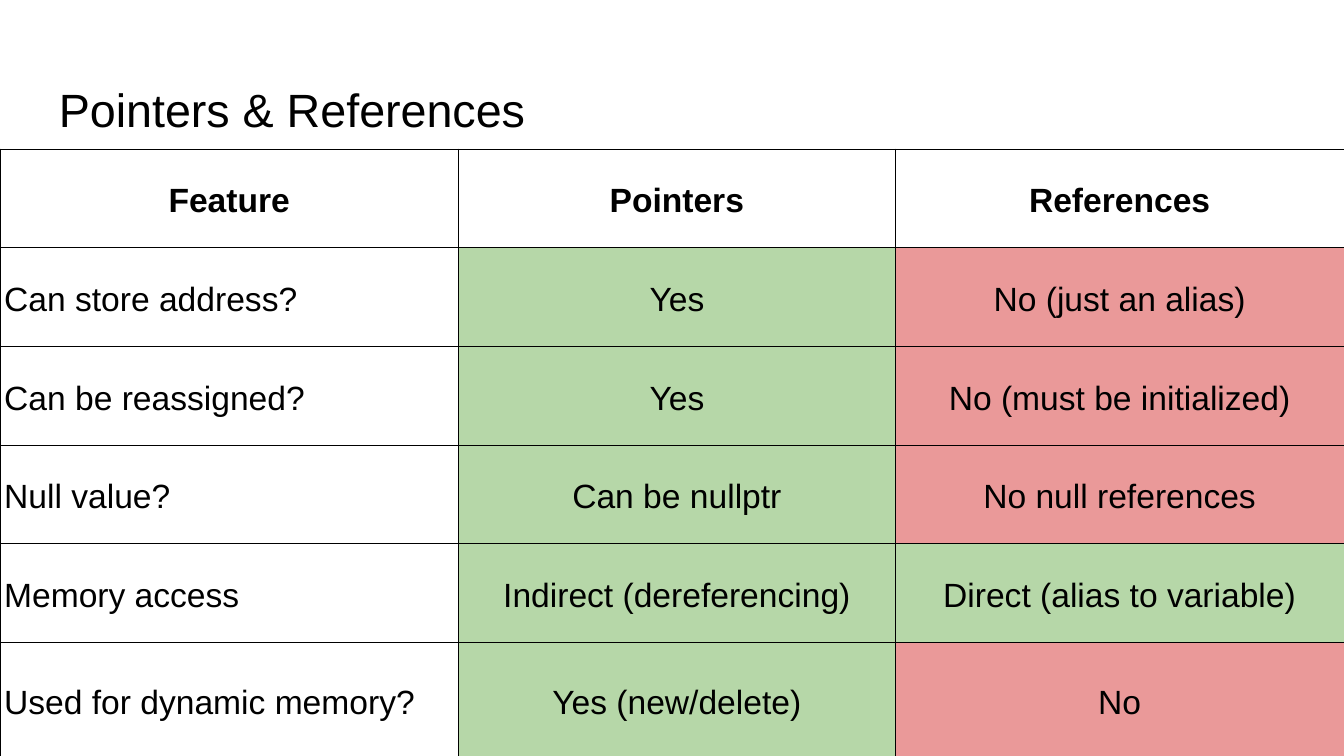
from lxml.etree import SubElement
from pptx import Presentation
from pptx.dml.color import RGBColor
from pptx.enum.text import MSO_ANCHOR, PP_ALIGN
from pptx.oxml.ns import qn
from pptx.util import Emu, Pt

BLACK = RGBColor(0x00, 0x00, 0x00)
GREEN = RGBColor(0xB6, 0xD7, 0xA8)
RED = RGBColor(0xEA, 0x99, 0x99)
WIDTH, HEIGHT = 1920, 1080
SCALE = 9144000 / WIDTH

HEADINGS = ["Feature", "Pointers", "References"]
COMPARISONS = [
    ("Can store address?", "Yes", "No (just an alias)", RED),
    ("Can be reassigned?", "Yes", "No (must be initialized)", RED),
    ("Null value?", "Can be nullptr", "No null references", RED),
    ("Memory access", "Indirect (dereferencing)", "Direct (alias to variable)", GREEN),
    ("Used for dynamic memory?", "Yes (new/delete)", "No", RED),
]


def px(length):
    """Turn pixels into EMU."""
    return Emu(round(length * SCALE))


class SlideWriter:
    """Holds the text and border style and the current slide."""

    font = "Arial"
    title_size = Pt(25)
    cell_size = Pt(18)
    border_width = Pt(0.5)
    line_spacing = 1.15

    def __init__(self, slide):
        self.slide = slide

    def add_run(self, paragraph, wording, size, bold=False):
        run = paragraph.add_run()
        run.text = wording
        run.font.name = self.font
        run.font.size = size
        run.font.bold = bold
        run.font.color.rgb = BLACK

    def title(self, wording, left, top, width, height):
        title = self.slide.shapes.title
        title.left, title.top = px(left), px(top)
        title.width, title.height = px(width), px(height)
        frame = title.text_frame
        frame.word_wrap = True
        frame.vertical_anchor = MSO_ANCHOR.BOTTOM
        frame.margin_left = frame.margin_right = px(19)
        frame.margin_top = frame.margin_bottom = px(19)
        paragraph = frame.paragraphs[0]
        paragraph.alignment = PP_ALIGN.LEFT
        self.add_run(paragraph, wording, self.title_size)

    def table(self, left, top, widths, heights):
        table = self.slide.shapes.add_table(
            len(heights), len(widths), px(left), px(top), px(sum(widths)), px(sum(heights))
        ).table
        table.first_row = table.horz_banding = False
        for column, width in zip(table.columns, widths):
            column.width = px(width)
        for row, height in zip(table.rows, heights):
            row.height = px(height)
        return table

    def borders(self, cell):
        properties = cell._tc.get_or_add_tcPr()
        for side in ("a:lnL", "a:lnR", "a:lnT", "a:lnB"):
            line = SubElement(properties, qn(side), w=str(self.border_width))
            fill = SubElement(line, qn("a:solidFill"))
            SubElement(fill, qn("a:srgbClr"), val=str(BLACK))

    def cell(self, cell, wording, alignment=PP_ALIGN.CENTER, color=None, bold=False):
        self.borders(cell)
        if color is None:
            cell.fill.background()
        else:
            cell.fill.solid()
            cell.fill.fore_color.rgb = color
        cell.vertical_anchor = MSO_ANCHOR.MIDDLE
        cell.margin_left = cell.margin_right = px(6)
        cell.margin_top = cell.margin_bottom = px(4)
        paragraph = cell.text_frame.paragraphs[0]
        paragraph.alignment = alignment
        paragraph.line_spacing = self.line_spacing
        self.add_run(paragraph, wording, self.cell_size, bold)


def main():
    presentation = Presentation()
    presentation.slide_width, presentation.slide_height = px(WIDTH), px(HEIGHT)
    writer = SlideWriter(presentation.slides.add_slide(presentation.slide_layouts[5]))

    writer.title("Pointers & References", 65, 94, 1789, 121)
    comparison = writer.table(0, 213, [655, 624, 641], [141] * 5 + [163])
    for column, heading in enumerate(HEADINGS):
        writer.cell(comparison.cell(0, column), heading, bold=True)
    for row, (feature, pointer, reference, verdict) in enumerate(COMPARISONS, start=1):
        writer.cell(comparison.cell(row, 0), feature, PP_ALIGN.LEFT)
        writer.cell(comparison.cell(row, 1), pointer, color=GREEN)
        writer.cell(comparison.cell(row, 2), reference, color=verdict)

    presentation.save("out.pptx")


if __name__ == "__main__":
    main()
